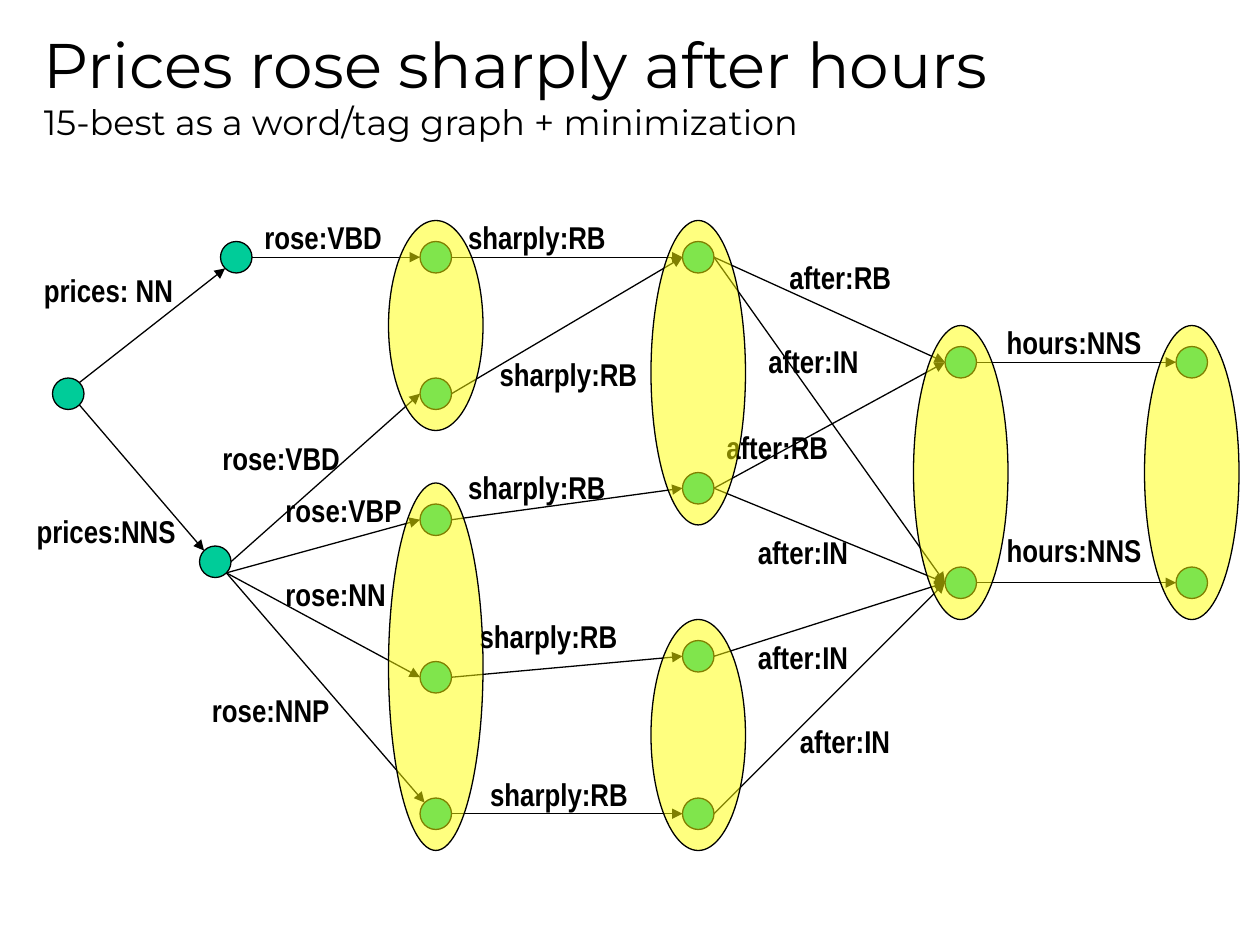
from dataclasses import dataclass
from math import sqrt

from lxml import etree
from pptx import Presentation
from pptx.dml.color import RGBColor
from pptx.enum.shapes import MSO_CONNECTOR, MSO_SHAPE
from pptx.enum.text import MSO_ANCHOR, MSO_AUTO_SIZE
from pptx.oxml.ns import qn
from pptx.util import Emu, Pt

ELLIPSE = MSO_SHAPE.OVAL
STRAIGHT = MSO_CONNECTOR.STRAIGHT
TOP, MIDDLE = MSO_ANCHOR.TOP, MSO_ANCHOR.MIDDLE
NO_FIT, FIT_SHAPE = MSO_AUTO_SIZE.NONE, MSO_AUTO_SIZE.SHAPE_TO_FIT_TEXT

BLACK = RGBColor(0x00, 0x00, 0x00)
TEAL = RGBColor(0x00, 0xCC, 0x99)
YELLOW = RGBColor(0xFF, 0xFF, 0x00)

PX = 7620  # EMU per px, 120 px to the inch
NODE = 30
GROUP_W = 90
LABEL_H = 48
LABEL_W = {
    "prices:NNS": 158, "prices: NN": 148, "rose:VBD": 137, "rose:VBP": 136,
    "rose:NN": 121, "rose:NNP": 137, "sharply:RB": 156, "after:RB": 122,
    "after:IN": 111, "hours:NNS": 154,
}

# Where an edge touches a node, as a direction from the node's centre
D = 1 / sqrt(2)
PORTS = {"left": (-1, 0), "right": (1, 0), "top left": (-D, -D),
         "top right": (D, -D), "bottom left": (-D, D), "bottom right": (D, D)}


@dataclass
class Edge:
    start: str
    end: str
    text: str
    label_x: int
    label_y: int
    leave: str = "right"
    enter: str = "left"


@dataclass
class Group:
    x: int
    y: int
    h: int


# Top left corner of each state
NODES = {
    "start": (50, 360), "NNS": (190, 520), "NN": (210, 230),
    "rose1": (400, 230), "rose2": (400, 360), "rose3": (400, 480),
    "rose4": (400, 630), "rose5": (400, 760),
    "sharply1": (650, 230), "sharply2": (650, 450),
    "sharply3": (650, 610), "sharply4": (650, 760),
    "after1": (900, 330), "after2": (900, 540),
    "hours1": (1120, 330), "hours2": (1120, 540),
}

EDGES = [
    Edge("start", "NNS", "prices:NNS", 23, 482, "bottom right", "top left"),
    Edge("start", "NN", "prices: NN", 30, 252, "top right", "bottom left"),
    Edge("NN", "rose1", "rose:VBD", 240, 202),
    Edge("NNS", "rose2", "rose:VBD", 200, 412),
    Edge("NNS", "rose3", "rose:VBP", 260, 462, "bottom right"),
    Edge("NNS", "rose4", "rose:NN", 260, 542, "bottom right"),
    Edge("NNS", "rose5", "rose:NNP", 190, 652, "bottom right", "top left"),
    Edge("rose1", "sharply1", "sharply:RB", 434, 202),
    Edge("rose2", "sharply1", "sharply:RB", 464, 332),
    Edge("rose3", "sharply2", "sharply:RB", 434, 440),
    Edge("rose4", "sharply3", "sharply:RB", 445, 582),
    Edge("rose5", "sharply4", "sharply:RB", 455, 732),
    Edge("sharply1", "after1", "after:RB", 740, 240),
    Edge("sharply1", "after2", "after:IN", 720, 320),
    Edge("sharply2", "after1", "after:RB", 680, 402),
    Edge("sharply2", "after2", "after:IN", 710, 502),
    Edge("sharply3", "after2", "after:IN", 710, 602),
    Edge("sharply4", "after2", "after:IN", 750, 682),
    Edge("after1", "hours1", "hours:NNS", 947, 302),
    Edge("after2", "hours2", "hours:NNS", 947, 500),
]

# States that are merged by minimization
GROUPS = [Group(370, 210, 200), Group(370, 460, 350), Group(620, 210, 290),
          Group(620, 590, 220), Group(870, 310, 280), Group(1090, 310, 280)]


def px(*lengths: float) -> list[Emu]:
    return [Emu(round(n * PX)) for n in lengths]


def add_text(s, box: tuple, lines: list, font: str, bold=False, wrap=True,
             anchor=TOP, fit=NO_FIT) -> None:
    """Write (text, size) lines as one paragraph."""
    tf = s.shapes.add_textbox(*px(*box)).text_frame
    tf.word_wrap, tf.vertical_anchor, tf.auto_size = wrap, anchor, fit
    p = tf.paragraphs[0]
    for i, (text, size) in enumerate(lines):
        if i:
            p.add_line_break()
        r = p.add_run()
        r.text = text
        r.font.name, r.font.size, r.font.bold = font, Pt(size), bold
        r.font.color.rgb = BLACK


def add_ellipse(s, box: tuple, color: RGBColor, alpha: int = 100) -> None:
    sp = s.shapes.add_shape(ELLIPSE, *px(*box))
    sp.shadow.inherit = False
    sp.fill.solid()
    sp.fill.fore_color.rgb = color
    sp.line.color.rgb = BLACK
    sp.line.width = Pt(0.75)
    if alpha < 100:
        clr = sp.fill._xPr.find(qn("a:solidFill"))[0]
        etree.SubElement(clr, qn("a:alpha"), val=str(alpha * 1000))


def port_point(node: str, port: str) -> tuple[float, float]:
    r = NODE / 2
    (x, y), (dx, dy) = NODES[node], PORTS[port]
    return x + r + dx * r, y + r + dy * r


def add_edge(s, edge: Edge) -> None:
    ends = port_point(edge.start, edge.leave) + port_point(edge.end, edge.enter)
    cxn = s.shapes.add_connector(STRAIGHT, *px(*ends))
    cxn.line.color.rgb = BLACK
    cxn.line.width = Pt(0.75)
    etree.SubElement(cxn.line._get_or_add_ln(), qn("a:tailEnd"), type="triangle")
    etree.SubElement(cxn._element.spPr, qn("a:effectLst"))
    box = (edge.label_x, edge.label_y, LABEL_W[edge.text], LABEL_H)
    add_text(s, box, [(edge.text, 18)], "Arial Narrow", bold=True, wrap=False,
             fit=FIT_SHAPE)


def main() -> None:
    prs = Presentation()
    prs.slide_width, prs.slide_height = px(1200, 900)
    s = prs.slides.add_slide(prs.slide_layouts[6])

    # Heading
    add_text(s, (30, 40, 1140, 80),
             [("Prices rose sharply after hours", 36),
              ("15-best as a word/tag graph + minimization", 20)],
             "Montserrat", anchor=MIDDLE)

    # Word/tag graph
    for x, y in NODES.values():
        add_ellipse(s, (x, y, NODE, NODE), TEAL)
    for edge in EDGES:
        add_edge(s, edge)

    # Merged states on top
    for g in GROUPS:
        add_ellipse(s, (g.x, g.y, GROUP_W, g.h), YELLOW, alpha=50)

    prs.save("out.pptx")


if __name__ == "__main__":
    main()
